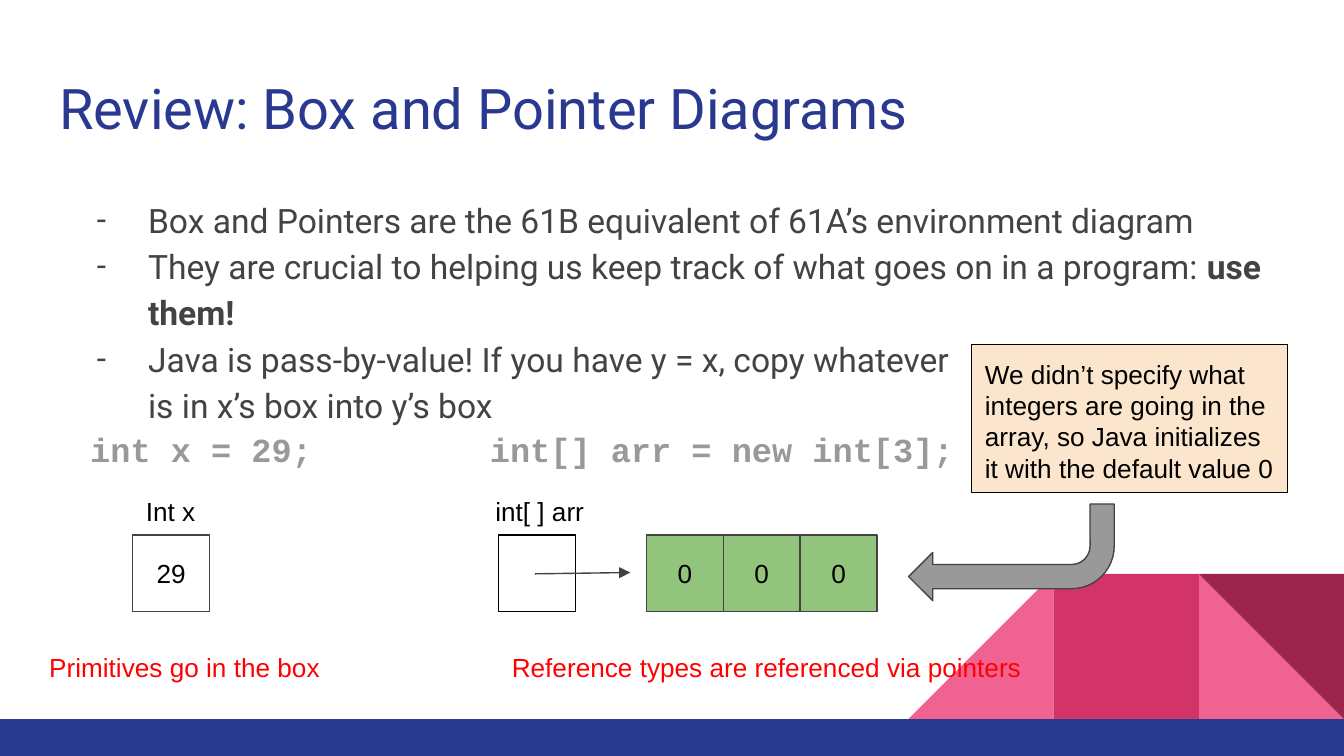
from dataclasses import dataclass

from lxml import etree
from pptx import Presentation
from pptx.dml.color import RGBColor
from pptx.enum.shapes import MSO_CONNECTOR, MSO_SHAPE
from pptx.enum.text import MSO_ANCHOR, MSO_AUTO_SIZE, PP_ALIGN
from pptx.oxml.ns import qn
from pptx.util import Inches, Pt

RECT, TRIANGLE = MSO_SHAPE.RECTANGLE, MSO_SHAPE.RIGHT_TRIANGLE
BENT_ARROW = MSO_SHAPE.BENT_ARROW
STRAIGHT = MSO_CONNECTOR.STRAIGHT
TOP, MIDDLE = MSO_ANCHOR.TOP, MSO_ANCHOR.MIDDLE
LEFT, CENTER = PP_ALIGN.LEFT, PP_ALIGN.CENTER
TITLE_ONLY = 5
COLUMNS = 100  # grid cells are square, so rows use the same pitch
ROWS = COLUMNS * 9 / 16


@dataclass(frozen=True)
class Theme:
    navy: str = "2A3990"
    pink: str = "F06292"
    rose: str = "D23369"
    wine: str = "9C254D"
    slate: str = "434343"
    gray: str = "999999"
    green: str = "93C47D"
    peach: str = "FCE5CD"
    black: str = "000000"
    red: str = "FF0000"
    heading: str = "Roboto"
    plain: str = "Arial"
    code: str = "Courier New"
    title_size: int = 30
    body_size: int = 18
    label_size: int = 14
    outline: float = 0.75
    spacing: float = 1.15


class SlideBuilder:
    def __init__(self, deck, theme):
        self.theme = theme
        self.cell = deck.slide_width / COLUMNS
        self.slide = deck.slides.add_slide(deck.slide_layouts[TITLE_ONLY])

    def grid(self, *cells):
        return [round(n * self.cell) for n in cells]

    def set_frame(self, frame, wrap=True, anchor=TOP):
        frame.word_wrap = wrap
        frame.auto_size = MSO_AUTO_SIZE.NONE
        frame.vertical_anchor = anchor
        frame.margin_left = frame.margin_right = Inches(0.1)
        frame.margin_top = frame.margin_bottom = Inches(0.1)

    def set_font(self, paragraph, size, face, color, bold=False):
        font = paragraph.font
        font.size, font.name, font.bold = Pt(size), face, bold
        font.color.rgb = RGBColor.from_string(color)

    def title(self, text, area):
        holder = self.slide.shapes.title
        holder.left, holder.top, holder.width, holder.height = self.grid(*area)
        self.set_frame(holder.text_frame)
        heading = holder.text_frame.paragraphs[0]
        heading.text, heading.alignment = text, LEFT
        self.set_font(heading, self.theme.title_size, self.theme.heading, self.theme.navy)

    def label(self, text, area, color=None):
        frame = self.slide.shapes.add_textbox(*self.grid(*area)).text_frame
        self.set_frame(frame, wrap=False)
        line = frame.paragraphs[0]
        line.text = text
        self.set_font(line, self.theme.label_size, self.theme.plain, color or self.theme.black)

    def code(self, text, area):
        frame = self.slide.shapes.add_textbox(*self.grid(*area)).text_frame
        self.set_frame(frame)
        line = frame.paragraphs[0]
        line.text, line.line_spacing = text, self.theme.spacing
        self.set_font(line, self.theme.body_size, self.theme.code, self.theme.gray, True)

    def bullets(self, items, area):
        """Each item is a plain text and a bold ending, which may be empty."""
        frame = self.slide.shapes.add_textbox(*self.grid(*area)).text_frame
        self.set_frame(frame)
        for index, (text, emphasis) in enumerate(items):
            item = frame.add_paragraph() if index else frame.paragraphs[0]
            item.text, item.line_spacing = text, self.theme.spacing
            if emphasis:
                ending = item.add_run()
                ending.text, ending.font.bold = emphasis, True
            props = item._p.get_or_add_pPr()
            props.set("marL", str(Inches(0.5)))
            props.set("indent", str(-Inches(0.38)))
            tint = etree.SubElement(props, qn("a:buClr"))
            etree.SubElement(tint, qn("a:srgbClr"), val=self.theme.slate)
            etree.SubElement(props, qn("a:buFont"), typeface=self.theme.heading)
            etree.SubElement(props, qn("a:buChar"), char="-")
            self.set_font(item, self.theme.body_size, self.theme.heading, self.theme.slate)

    def shape(self, kind, area, fill=None, line=None):
        shape = self.slide.shapes.add_shape(kind, *self.grid(*area))
        shape.shadow.inherit = False
        if fill:
            shape.fill.solid()
            shape.fill.fore_color.rgb = RGBColor.from_string(fill)
        else:
            shape.fill.background()
        if line:
            shape.line.color.rgb = RGBColor.from_string(line)
            shape.line.width = Pt(self.theme.outline)
        else:
            shape.line.fill.background()
        return shape

    def box(self, text, area, fill=None, line=None, anchor=MIDDLE, align=CENTER):
        frame = self.shape(RECT, area, fill, line or self.theme.slate).text_frame
        self.set_frame(frame, anchor=anchor)
        content = frame.paragraphs[0]
        content.text, content.alignment = text, align
        self.set_font(content, self.theme.label_size, self.theme.plain, self.theme.black)

    def pointer(self, start, end):
        arrow = self.slide.shapes.add_connector(STRAIGHT, *self.grid(*start, *end))
        arrow.line.color.rgb = RGBColor.from_string(self.theme.slate)
        arrow.line.width = Pt(self.theme.outline)
        etree.SubElement(arrow.line._get_or_add_ln(), qn("a:tailEnd"), type="triangle")
        etree.SubElement(arrow._element.spPr, qn("a:effectLst"))

    def bent_arrow(self, area, adjustments):
        arrow = self.shape(BENT_ARROW, area, self.theme.gray, self.theme.slate)
        arrow.rotation = 180
        for index, value in enumerate(adjustments):
            arrow.adjustments[index] = value

    def mountains(self, left, top, side):
        theme = self.theme
        first, second, third = [(left + side * i, top, side, side) for i in range(3)]
        self.shape(TRIANGLE, third, theme.pink)
        slope = self.shape(TRIANGLE, first, theme.pink)
        slope._element.spPr.find(qn("a:xfrm")).set("flipH", "1")
        self.shape(RECT, second, theme.rose)
        self.shape(TRIANGLE, third, theme.wine).rotation = 180


def main():
    deck = Presentation()
    deck.slide_width = Inches(10)
    deck.slide_height = round(deck.slide_width * ROWS / COLUMNS)
    theme = Theme()
    page = SlideBuilder(deck, theme)

    footer_top = 53.5
    page.mountains(67.6, 42.7, 10.8)
    page.shape(RECT, (0, footer_top, COLUMNS, ROWS - footer_top), theme.navy)
    page.title("Review: Box and Pointer Diagrams", (3.4, 4.5, 93.2, 6.6))
    page.bullets([
        ("Box and Pointers are the 61B equivalent of 61A’s environment diagram", ""),
        ("They are crucial to helping us keep track of what goes on in a program: ", "use them!"),
        ("Java is pass-by-value! If you have y = x, copy whatever\vis in x’s box into y’s box", ""),
    ], (5.03, 13.4, 89.9, 12.2))

    side, box_top, label_top = 5.72, 39.8, 35.83
    primitive_left, reference_left, array_left = 9.87, 37.1, 48.1
    page.box("29", (primitive_left, box_top, side, side))
    page.label("Int x", (primitive_left, label_top, side, 3.3))
    page.code("int x = 29;", (5.73, 30.5, 30.8, 19.6))
    page.code("int[] arr = new int[3];", (35.47, 30.5, 39.3, 19.6))
    page.shape(RECT, (reference_left, box_top, side, side), line=theme.black)
    page.pointer((39.8, 42.7), (46.9, 42.6))
    for index in range(3):
        page.box("0", (array_left + side * index, box_top, side, side), theme.green)
    page.label("int[ ] arr", (35.87, label_top, 10.2, 3.3))

    page.bent_arrow((67.6, 37.5, 15.3, 7.2), (0.25, 0.25, 0.25, 0.44))
    page.box("We didn’t specify what integers are going in the array, "
             "so Java initializes it with the default value 0",
             (72.3, 25.64, 23.5, 11), theme.peach, theme.black, TOP, LEFT)
    page.label("Primitives go in the box", (2.68, 47.44, 22.6, 4), theme.red)
    page.label("Reference types are referenced via pointers",
               (reference_left, 47.44, 48.6, 4), theme.red)

    deck.save("out.pptx")


if __name__ == "__main__":
    main()
